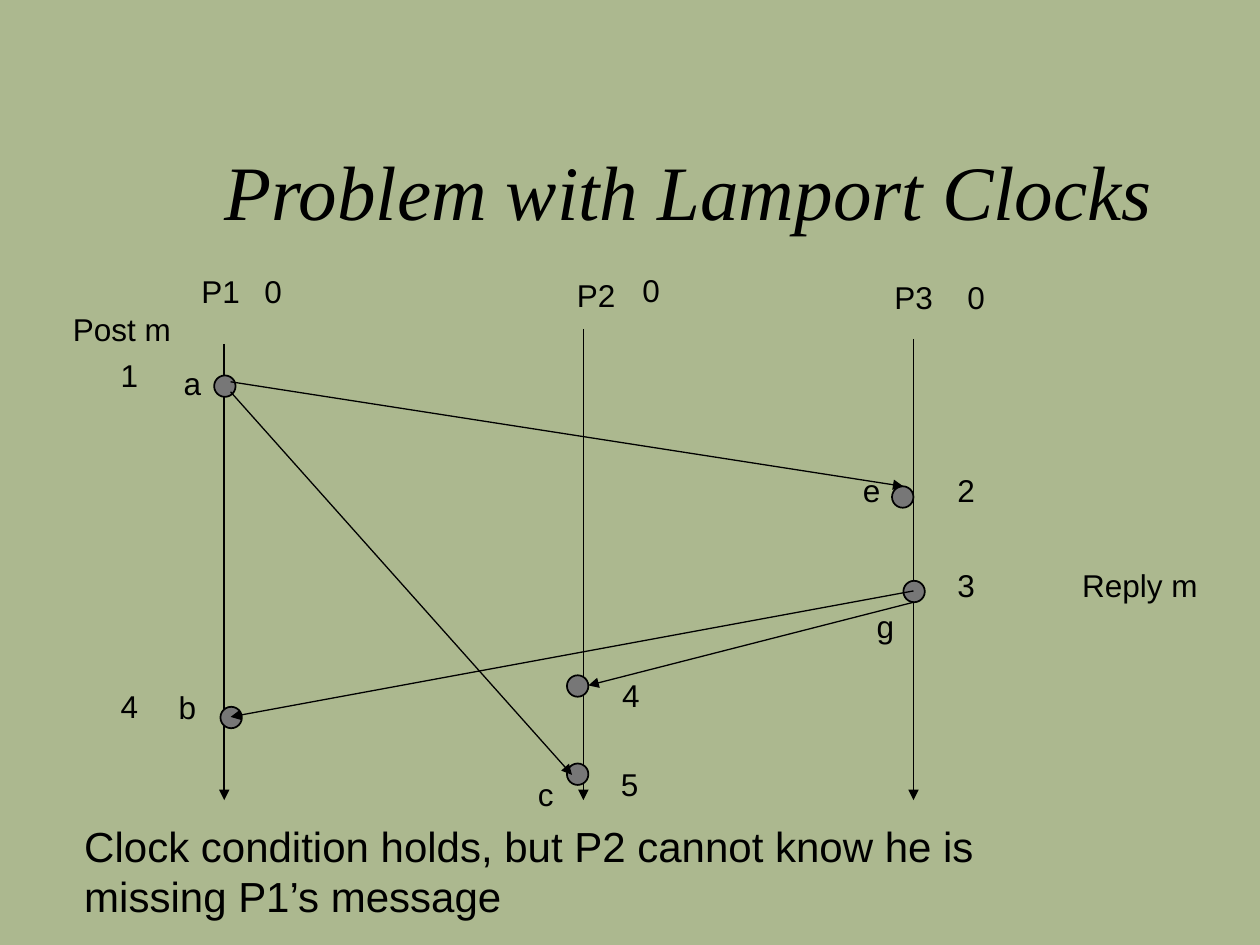
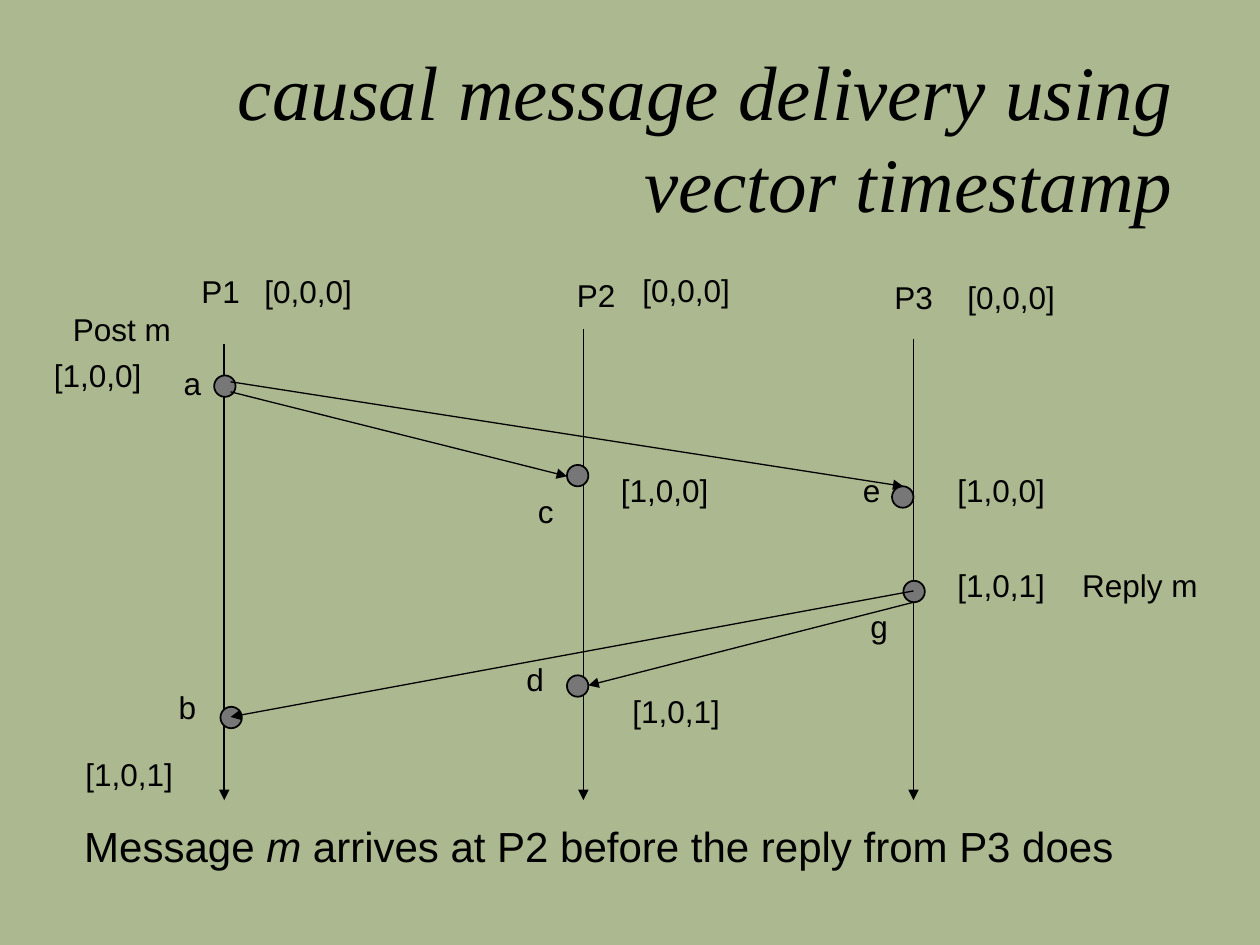
from lxml import etree
from pptx import Presentation
from pptx import util as u
from pptx.dml import color
from pptx.enum import shapes, text
from pptx.oxml import ns

BACKGROUND, INK, DOT = "ACB88F", "000000", "777777"
DOT_SIZE = 0.17
LABEL_HEIGHT = 0.4
LABEL_WIDTHS = {1: 0.34, 2: 0.51, 6: 0.99, 7: 0.9}
LABEL = {"name": "Arial", "size": u.Pt(18)}
CAPTION = {"name": "Arial", "size": u.Pt(24)}
TITLE = {"name": "Times New Roman", "size": u.Pt(44), "italic": True}

TIMELINES = [(1.78, 2.73), (4.63, 2.61), (7.25, 2.69)]
TIMELINE_END = 6.35
SHARED_EVENTS = [(1.7, 2.98), (4.5, 5.36), (7.17, 4.61), (7.08, 3.86), (1.75, 5.61)]
SHARED_MESSAGES = [
    ((1.83, 3.03), (7.17, 3.86)),
    ((7.25, 4.78), (4.67, 5.44)),
    ((7.25, 4.69), (1.83, 5.69)),
]
SHARED_LABELS = [
    ("P1", 1.5, 2.11), ("P2", 4.48, 2.14), ("P3", 7, 2.16),
    ("a", 1.36, 2.84), ("b", 1.32, 5.41), ("e", 6.75, 3.69),
    ("Post m", 0.48, 2.41), ("Reply m", 8.49, 4.44, 1.13),
]
CLOCK_STARTS = [(2, 2.11), (5, 2.1), (7.58, 2.16)]


def rgb(value):
    return color.RGBColor.from_string(value)


def apply_format(target, values):
    for name, value in values.items():
        setattr(target, name, value)


def add_text(slide, runs, box, style, wrap=True, frame_format=None, align=None):
    shape = slide.shapes.add_textbox(*map(u.Inches, box))
    frame = shape.text_frame
    apply_format(frame, {"word_wrap": wrap, **(frame_format or {})})
    paragraph = frame.paragraphs[0]
    paragraph.alignment = align
    for content, changes in runs:
        run = paragraph.add_run()
        run.text = content
        apply_format(run.font, {**style, **changes})
        run.font.color.rgb = rgb(INK)


def add_label(slide, content, left, top, width=None):
    width = width or LABEL_WIDTHS[len(content)]
    add_text(slide, [(content, {})], (left, top, width, LABEL_HEIGHT), LABEL, wrap=False)


def add_title(slide, content, left, top):
    add_text(slide, [(content, {})], (left, top, 7.83, 1.5), TITLE,
             frame_format={"vertical_anchor": text.MSO_ANCHOR.BOTTOM},
             align=text.PP_ALIGN.RIGHT)


def add_event(slide, left, top):
    shape = slide.shapes.add_shape(
        shapes.MSO_SHAPE.OVAL, *map(u.Inches, (left, top, DOT_SIZE, DOT_SIZE)))
    shape.shadow.inherit = False
    shape.fill.solid()
    shape.fill.fore_color.rgb = rgb(DOT)
    shape.line.color.rgb = rgb(INK)
    shape.line.width = u.Pt(1)


def add_arrow(slide, start, end, weight):
    connector = slide.shapes.add_connector(
        shapes.MSO_CONNECTOR.STRAIGHT, *map(u.Inches, (*start, *end)))
    connector.line.color.rgb = rgb(INK)
    connector.line.width = u.Pt(weight)
    etree.SubElement(connector.line._get_or_add_ln(), ns.qn("a:tailEnd"), type="triangle")
    etree.SubElement(connector._element.spPr, ns.qn("a:effectLst"))


def add_diagram(slide, clock_start, events, messages, labels):
    for left, top in TIMELINES:
        add_arrow(slide, (left, top), (left, TIMELINE_END), 1)
    for event in SHARED_EVENTS + events:
        add_event(slide, *event)
    for start, end in SHARED_MESSAGES + messages:
        add_arrow(slide, start, end, 0.75)
    starts = [(clock_start, left, top) for left, top in CLOCK_STARTS]
    for label in SHARED_LABELS + starts + labels:
        add_label(slide, *label)


def add_slide(presentation):
    slide = presentation.slides.add_slide(presentation.slide_layouts[6])
    slide.background.fill.solid()
    slide.background.fill.fore_color.rgb = rgb(BACKGROUND)
    return slide


def add_lamport_slide(presentation):
    slide = add_slide(presentation)
    add_diagram(
        slide, "0",
        events=[(4.5, 6.06)],
        messages=[((1.83, 3.11), (4.54, 6.15))],
        labels=[
            ("c", 4.17, 6.1), ("g", 6.86, 4.77),
            ("1", 0.86, 2.78), ("2", 7.5, 3.69), ("3", 7.5, 4.44),
            ("4", 4.84, 5.32), ("4", 0.86, 5.4), ("5", 4.83, 6.02),
        ])
    caption = "Clock condition holds, but P2 cannot know he is missing P1’s message"
    add_text(slide, [(caption, {})], (0.57, 6.46, 7.92, 0.91), CAPTION)
    add_title(slide, "Problem with Lamport Clocks", 1.42, 0.42)


def add_vector_slide(presentation):
    slide = add_slide(presentation)
    add_diagram(
        slide, "[0,0,0]",
        events=[(4.5, 3.69)],
        messages=[((1.83, 3.11), (4.5, 3.78))],
        labels=[
            ("c", 4.17, 3.86), ("d", 4.08, 5.19), ("g", 6.81, 4.77),
            ("[1,0,0]", 0.33, 2.78), ("[1,0,0]", 4.83, 3.69), ("[1,0,0]", 7.5, 3.69),
            ("[1,0,1]", 7.5, 4.44), ("[1,0,1]", 4.92, 5.44), ("[1,0,1]", 0.58, 5.94),
        ])
    caption = [("Message ", {}), ("m ", {"italic": True}),
               ("arrives at P2 before the reply from P3 does", {})]
    add_text(slide, caption, (0.57, 6.46, 8.66, 0.5), CAPTION, wrap=False)
    add_title(slide, "causal message delivery using vector timestamp", 1.58, 0.36)


def main():
    presentation = Presentation()
    apply_format(presentation, {"slide_width": u.Inches(10), "slide_height": u.Inches(7.5)})
    add_lamport_slide(presentation)
    add_vector_slide(presentation)
    presentation.save("out.pptx")


if __name__ == "__main__":
    main()
